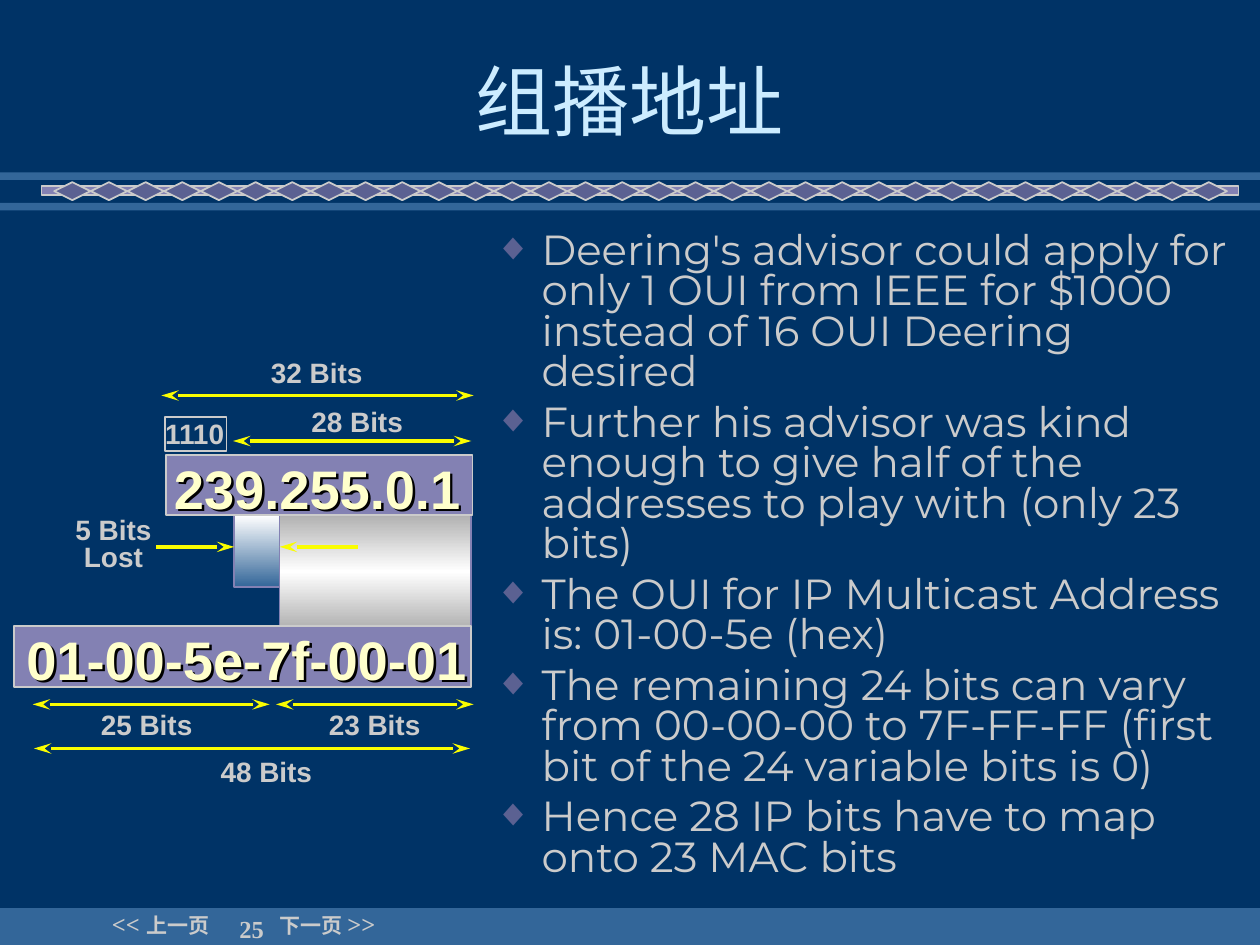
from lxml.etree import SubElement as Sub
from pptx import Presentation
from pptx.dml.color import RGBColor as RGB
from pptx.enum.shapes import MSO_CONNECTOR as LINK, MSO_SHAPE as KIND
from pptx.enum.text import MSO_ANCHOR as ANCHOR, MSO_AUTO_SIZE as AUTO, PP_ALIGN as ALIGN
from pptx.oxml.ns import qn
from pptx.util import Pt

HEX = {
    "back": "003366", "band": "336699", "bar": "8381B3", "gem": "5B6192",
    "text": "CBCBCB", "head": "CCECFF", "cream": "FFFFCC", "arrow": "FAFD00",
    "white": "FFFFFF", "grey": "B2B2B2", "black": "000000",
}
MID, RIGHT, LEFT = ALIGN.CENTER, ALIGN.RIGHT, ALIGN.LEFT


def tint(name):
    """Return the named colour."""
    return RGB.from_string(HEX[name])


def block(slide, box, fill=None, edge=None, kind=KIND.RECTANGLE, width=1):
    """Add a flat shape with an optional fill and edge."""
    shape = slide.shapes.add_shape(kind, *map(Pt, box))
    shape.shadow.inherit = False
    if fill:
        shape.fill.solid()
        shape.fill.fore_color.rgb = tint(fill)
    else:
        shape.fill.background()
    if edge:
        shape.line.color.rgb = tint(edge)
        shape.line.width = Pt(width)
    else:
        shape.line.fill.background()
    return shape


def blend(shape, stops):
    """Fill a shape from top to bottom through (place, colour) stops."""
    shape.fill.gradient()
    shape.fill.gradient_angle = 270
    track = shape._element.spPr.find(qn("a:gradFill")).find(qn("a:gsLst"))
    for old in list(track):
        track.remove(old)
    for place, name in stops:
        stop = Sub(track, qn("a:gs"), pos=str(place * 1000))
        Sub(stop, qn("a:srgbClr"), val=HEX[name])


def add_run(para, text, size, font, name, bold=False):
    """Add one styled run to a paragraph."""
    run = para.add_run()
    run.text = text
    run.font.size, run.font.name, run.font.bold = Pt(size), font, bold
    run.font.color.rgb = tint(name)


def set_frame(shape, pads, anchor=ANCHOR.TOP, wrap=False):
    """Set the padding, anchor and wrap of a text frame."""
    frame = shape.text_frame
    frame.margin_left, frame.margin_top, frame.margin_right, frame.margin_bottom = map(Pt, pads)
    frame.vertical_anchor, frame.word_wrap, frame.auto_size = anchor, wrap, AUTO.NONE
    return frame


def label(slide, box, text, size=16, name="text", align=LEFT):
    """Add a bold text box on one or more fixed lines."""
    shape = slide.shapes.add_textbox(*map(Pt, box))
    frame = set_frame(shape, (6.5, 3.6, 6.5, 3.6))
    for row, line in enumerate(text.split("\n")):
        para = frame.add_paragraph() if row else frame.paragraphs[0]
        para.alignment = align
        if "\n" in text:
            para.line_spacing = 0.8
        add_run(para, line, size, "Arial", name, True)
    return shape


def shade(shape):
    """Give the text of an unfilled box a small dark shadow."""
    effect = Sub(shape._element.spPr, qn("a:effectLst"))
    cast = Sub(effect, qn("a:outerShdw"), dist=str(Pt(2)), dir="2700000", algn="ctr", rotWithShape="0")
    Sub(cast, qn("a:srgbClr"), val=HEX["black"])


def arrow(slide, start, end, y, both=True):
    """Add a level arrow with one or two heads."""
    link = slide.shapes.add_connector(LINK.STRAIGHT, Pt(start), Pt(y), Pt(end), Pt(y))
    link.line.color.rgb = tint("arrow")
    link.line.width = Pt(2)
    stroke = link._element.spPr.find(qn("a:ln"))
    for tip in ("a:headEnd", "a:tailEnd") if both else ("a:tailEnd",):
        Sub(stroke, qn(tip), type="stealth", w="med", len="lg")
    Sub(link._element.spPr, qn("a:effectLst"))


def rule(slide, x, y, wide):
    """Draw the row of diamonds between two bands."""
    for top in (0, 17.3):
        block(slide, (x, y + top, wide, 4.3), "band")
    block(slide, (x + 23.8, y + 7.9, 684, 5), "bar", "text")
    for i in range(32):
        block(slide, (x + 31 + 20.95 * i, y + 5.5, 20.7, 10.3), "gem", "text", KIND.DIAMOND)


def footer(slide, x, y, wide, high):
    """Draw the bottom band with page links and number."""
    block(slide, (x, y, wide, high), "band")
    parts = [
        (62.6, -3.5, 62, 21.6, LEFT, [("<< ", 14), ("上一页", 12)]),
        (158.4, -3.5, 60.5, 21.6, LEFT, [("下一页 ", 12), (">>", 14)]),
        (128.4, 3, 23.8, 18, RIGHT, [("25", 14)]),
    ]
    for left, top, w, h, align, runs in parts:
        box = slide.shapes.add_textbox(Pt(x + left), Pt(y + top), Pt(w), Pt(h))
        para = set_frame(box, (1.4, 3.6, 1.4, 0.7), ANCHOR.BOTTOM).paragraphs[0]
        para.alignment = align
        for text, size in runs:
            add_run(para, text, size, "Times New Roman", "text", True)


def diagram(slide, x, y):
    """Draw how the bits of the two addresses map."""
    fade = block(slide, (x + 125.9, y + 94.5, 29.5, 41), edge="bar")
    blend(fade, [(0, "white"), (100, "band")])
    tube = block(slide, (x + 151.8, y + 94.5, 109.4, 64.1), edge="bar")
    blend(tube, [(0, "grey"), (50, "white"), (100, "grey")])

    spans = [
        ("32 Bits", 84.2, 262.7, 26, 140.3, -0.6),
        ("28 Bits", 125.2, 261.3, 52, 163.4, 27.5),
        ("25 Bits", 10.7, 146.1, 202.5, 43.1, 201),
        ("23 Bits", 149.7, 262.7, 202.5, 173.4, 201),
        ("48 Bits", 11.4, 260.6, 227.7, 111.5, 227.7),
    ]
    for text, start, end, level, left, top in spans:
        arrow(slide, x + start, x + end, y + level)
        label(slide, (x + left, y + top, 65.5, 26), text)

    block(slide, (x, y + 157.8, 261.4, 34.6), "bar", "text")
    block(slide, (x + 87, y + 59.9, 175, 34.6), "bar", "text")
    shade(label(slide, (x + 0.6, y + 154.2, 264.2, 43.9), "01-00-5e-7f-00-01", 31, "cream", MID))
    shade(label(slide, (x + 84.9, y + 56.3, 176.4, 43.9), "239.255.0.1", 31, "cream"))

    prefix = block(slide, (x + 86.3, y + 38.3, 35.3, 19.4), edge="text", width=0.75)
    para = set_frame(prefix, (0, 0, 0, 0)).paragraphs[0]
    para.alignment = LEFT
    add_run(para, "1110", 16, "Arial", "text", True)

    for start, end in ((81.3, 125.9), (196.5, 151.8)):
        arrow(slide, x + start, x + end, y + 112.5, False)
    label(slide, (x + 28.7, y + 93, 56.2, 37.4), "5 Bits\nLost", align=MID)


def place(shape, box):
    """Move a placeholder into a box and return its frame."""
    shape.left, shape.top, shape.width, shape.height = map(Pt, box)
    return set_frame(shape, (7.2, 3.6, 7.2, 3.6), ANCHOR.MIDDLE, True)


def title(slide, box, text):
    """Fill the title placeholder."""
    para = place(slide.shapes.title, box).paragraphs[0]
    para.alignment = MID
    add_run(para, text, 44, "Montserrat", "head")


def body(slide, box, items):
    """Fill the body placeholder with a diamond list."""
    frame = place(slide.placeholders[1], box)
    for row, text in enumerate(items):
        para = frame.add_paragraph() if row else frame.paragraphs[0]
        para.line_spacing, para.space_before = 0.8, Pt(6)
        add_run(para, text, 24, "Montserrat", "text")
        props = para._p.get_or_add_pPr()
        props.set("marL", str(Pt(27)))
        props.set("indent", str(-Pt(27)))
        Sub(Sub(props, qn("a:buClr")), qn("a:srgbClr"), val=HEX["gem"])
        Sub(props, qn("a:buSzPct"), val="90000")
        Sub(props, qn("a:buChar"), char="◆")


def main():
    """Build and save the slide."""
    deck = Presentation()
    deck.slide_width, deck.slide_height = Pt(720), Pt(540)
    slide = deck.slides.add_slide(deck.slide_layouts[1])
    slide.background.fill.solid()
    slide.background.fill.fore_color.rgb = tint("back")
    rule(slide, 0, 98.6, 720)
    footer(slide, 0, 519, 720, 21)
    diagram(slide, 8, 200)
    title(slide, (54, 18, 612, 78), "组播地址")
    body(slide, (275.3, 132.5, 433.5, 371.5), [
        "Deering's advisor could apply for only 1 OUI from IEEE for $1000 instead of 16 OUI Deering desired",
        "Further his advisor was kind enough to give half of the addresses to play with (only 23 bits)",
        "The OUI for IP Multicast Address is: 01-00-5e (hex)",
        "The remaining 24 bits can vary from 00-00-00 to 7F-FF-FF (first bit of the 24 variable bits is 0)",
        "Hence 28 IP bits have to map onto 23 MAC bits",
    ])
    deck.save("out.pptx")


if __name__ == "__main__":
    main()
